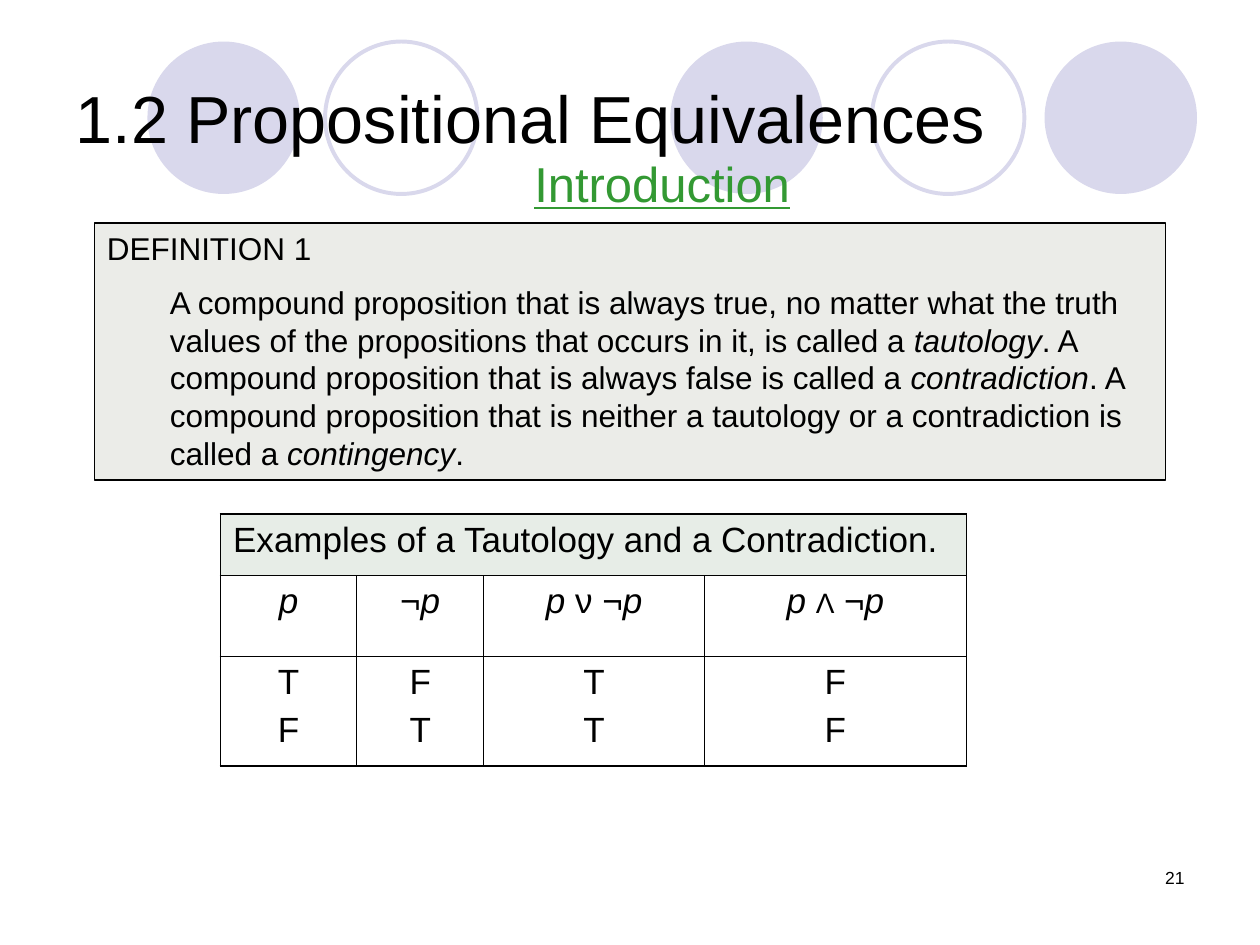
from lxml import etree
from pptx import Presentation
from pptx.dml.color import RGBColor
from pptx.enum.shapes import MSO_SHAPE
from pptx.enum.text import MSO_ANCHOR, PP_ALIGN
from pptx.oxml.ns import qn
from pptx.util import Inches, Pt

ELLIPSE, RECTANGLE = MSO_SHAPE.OVAL, MSO_SHAPE.RECTANGLE
LEFT, CENTER, RIGHT = PP_ALIGN.LEFT, PP_ALIGN.CENTER, PP_ALIGN.RIGHT
TOP, MIDDLE = MSO_ANCHOR.TOP, MSO_ANCHOR.MIDDLE
BLACK, LAVENDER, GREEN = "000000", "D9D8EC", "339933"
DEFINITION_FILL, CAPTION_FILL = "EBECE8", "E7EDE7"
OUTER_LINE, INNER_LINE = 1.08, 0.45

DEFINITION = [
    ("A compound proposition that is always true, no matter what the truth values "
     "of the propositions that occurs in it, is called a", False),
    (" tautology", True),
    (". A compound proposition that is always false is called a ", False),
    ("contradiction", True),
    (". A compound proposition that is neither a tautology or a contradiction is called a ", False),
    ("contingency", True),
    (".", False),
]
FORMULAS = [
    [("p", True)],
    [("¬", False), ("p", True)],
    [("p ", True), ("ν ¬", False), ("p", True)],
    [("p ", True), ("Λ", False), (" ¬", False), ("p", True)],
]
TRUTH_VALUES = ["TF", "FT", "TT", "FF"]


def rgb(value):
    """Turn a hex string into a colour."""
    return RGBColor.from_string(value)


def write(paragraph, content, size, color=BLACK, align=LEFT, before=0):
    """Fill a paragraph with a string or with (text, italic) pieces."""
    paragraph.alignment = align
    if before:
        paragraph.space_before = Pt(before)
    font = paragraph.font
    font.name, font.size, font.color.rgb = "Arial", Pt(size), rgb(color)
    if isinstance(content, str):
        paragraph.add_run().text = content
        return
    for text, italic in content:
        run = paragraph.add_run()
        run.text, run.font.italic = text, italic


def add_circles(slide, top, diameter):
    """Draw the row of filled and outlined circles behind the heading."""
    for left, filled in [(1.17, True), (2.58, False), (5.32, True), (6.92, False), (8.29, True)]:
        circle = slide.shapes.add_shape(
            ELLIPSE, Inches(left), Inches(top), Inches(diameter), Inches(diameter))
        circle.shadow.inherit = False
        if filled:
            circle.fill.solid()
            circle.fill.fore_color.rgb = rgb(LAVENDER)
            circle.line.fill.background()
        else:
            circle.fill.background()
            circle.line.color.rgb = rgb(LAVENDER)
            circle.line.width = Pt(2.25)


def add_title(slide, left, top, width, height):
    """Place the slide title in front of the circles."""
    title = slide.shapes.title
    title.left, title.top, title.width, title.height = map(Inches, (left, top, width, height))
    title.text_frame.vertical_anchor = MIDDLE
    write(title.text_frame.paragraphs[0], "1.2 Propositional Equivalences", 38)
    title.element.getparent().append(title.element)


def add_label(slide, left, top, width, height, text, size, color, align):
    """Add a one-line text box and return its paragraph."""
    label = slide.shapes.add_textbox(*map(Inches, (left, top, width, height)))
    label.text_frame.word_wrap = True
    paragraph = label.text_frame.paragraphs[0]
    write(paragraph, text, size, color, align)
    return paragraph


def add_definition(slide, left, top, width, height):
    """Add the framed definition."""
    panel = slide.shapes.add_shape(RECTANGLE, *map(Inches, (left, top, width, height)))
    panel.shadow.inherit = False
    panel.fill.solid()
    panel.fill.fore_color.rgb = rgb(DEFINITION_FILL)
    panel.line.color.rgb = rgb(BLACK)
    panel.line.width = Pt(0.75)
    frame = panel.text_frame
    frame.word_wrap, frame.vertical_anchor = True, TOP
    write(frame.paragraphs[0], "DEFINITION 1", 18)
    statement = frame.add_paragraph()
    properties = statement._p.get_or_add_pPr()
    properties.set("marL", str(Inches(0.5)))
    properties.set("indent", "0")
    write(statement, DEFINITION, 18, before=9)


def set_borders(cell, widths):
    """Draw the left, right, top and bottom borders in the given widths."""
    properties = cell._tc.get_or_add_tcPr()
    for index, (side, width) in enumerate(zip("LRTB", widths)):
        border = etree.Element(qn(f"a:ln{side}"), w=str(Pt(width)))
        fill = etree.SubElement(border, qn("a:solidFill"))
        etree.SubElement(fill, qn("a:srgbClr"), val=BLACK)
        properties.insert(index, border)


def add_truth_table(slide, left, top, column_widths, row_heights):
    """Add the truth table with its caption row."""
    rows, columns = len(row_heights), len(column_widths)
    table = slide.shapes.add_table(
        rows, columns, Inches(left), Inches(top),
        Inches(sum(column_widths)), Inches(sum(row_heights))).table
    table.first_row = table.horz_banding = False
    for column, width in zip(table.columns, column_widths):
        column.width = Inches(width)
    for row, height in zip(table.rows, row_heights):
        row.height = Inches(height)

    for r in range(rows):
        for c in range(columns):
            cell = table.cell(r, c)
            if r == 0:
                cell.fill.solid()
                cell.fill.fore_color.rgb = rgb(CAPTION_FILL)
            else:
                cell.fill.background()
            on_edge = (c == 0, c == columns - 1, r == 0, r == rows - 1)
            set_borders(cell, [OUTER_LINE if edge else INNER_LINE for edge in on_edge])

    caption = table.cell(0, 0)
    caption.merge(table.cell(0, columns - 1))
    write(caption.text_frame.paragraphs[0], "Examples of a Tautology and a Contradiction.", 20)
    for c, (formula, (first, second)) in enumerate(zip(FORMULAS, TRUTH_VALUES)):
        heading = table.cell(1, c).text_frame.paragraphs[0]
        write(heading, formula, 20, align=CENTER)
        for run in heading.runs:
            if run.text == "Λ":
                run.font.size = Pt(16)
        values = table.cell(2, c).text_frame
        write(values.paragraphs[0], first, 20, align=CENTER)
        write(values.add_paragraph(), second, 20, align=CENTER, before=5)


def main():
    """Build the slide and save it."""
    presentation = Presentation()
    presentation.slide_width, presentation.slide_height = Inches(10), Inches(7.5)
    slide = presentation.slides.add_slide(presentation.slide_layouts[5])
    add_circles(slide, 0.33, 1.21)
    add_title(slide, 0.5, 0.3, 9, 1.25)
    add_definition(slide, 0.75, 1.77, 8.5, 2.04)
    introduction = add_label(slide, 1.67, 1.17, 7.17, 0.57, "Introduction", 28, GREEN, CENTER)
    introduction.font.underline = True
    add_truth_table(slide, 1.75, 4.08, [1.08, 1.01, 1.75, 2.08], [0.49, 0.64, 0.87])
    add_label(slide, 7.17, 6.83, 2.33, 0.5, "21", 10, BLACK, RIGHT)
    presentation.save("out.pptx")


if __name__ == "__main__":
    main()
